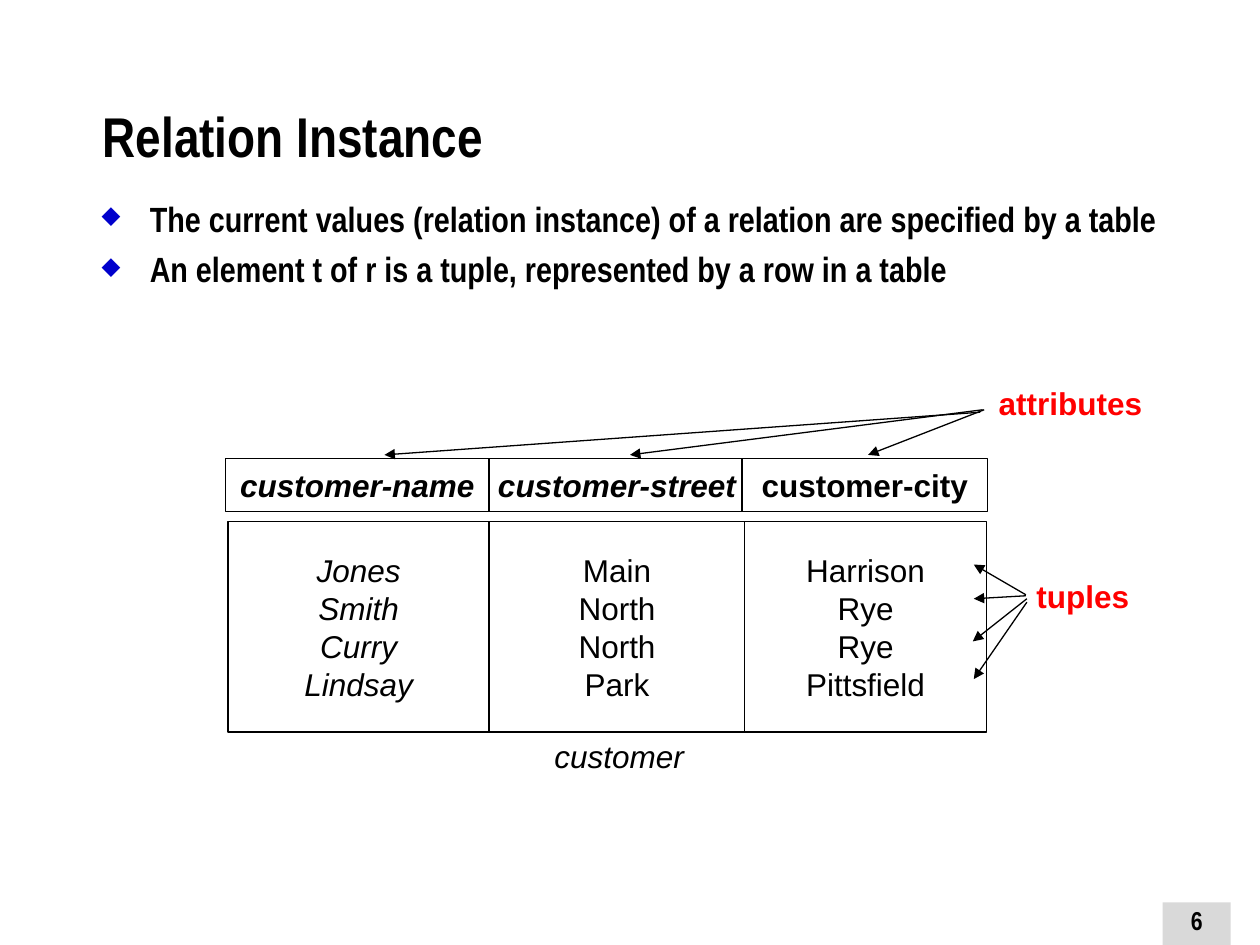
"""Build the "Relation Instance" slide with its customer relation."""
from dataclasses import dataclass, field
from typing import NamedTuple, Optional

from lxml.etree import SubElement
from pptx import Presentation
from pptx.dml.color import RGBColor
from pptx.enum.shapes import MSO_CONNECTOR, MSO_SHAPE
from pptx.enum.text import MSO_ANCHOR, MSO_AUTO_SIZE, PP_ALIGN
from pptx.oxml.ns import qn
from pptx.util import Cm, Pt

BLACK = RGBColor(0x00, 0x00, 0x00)
WHITE = RGBColor(0xFF, 0xFF, 0xFF)
RED = RGBColor(0xFF, 0x00, 0x00)
BLUE = RGBColor(0x00, 0x00, 0xCC)
GREY = RGBColor(0xD9, 0xD9, 0xD9)

CELL = dict(name="Arial", size=Pt(18))
NARROW = dict(name="Arial Narrow", bold=True)
LABEL = dict(CELL, bold=True)
HEADER_TOP, HEADER_HEIGHT = 9.25, 1.07
ROWS_TOP, ROWS_HEIGHT = 10.52, 4.24
ATTRIBUTE_TIP_Y = 9.17


class Box(NamedTuple):
    left: float
    top: float
    width: float
    height: float


class Span(NamedTuple):
    left: float
    width: float


class Arrow(NamedTuple):
    x1: float
    y1: float
    x2: float
    y2: float


@dataclass
class Text:
    box: Box
    lines: list[str]
    font: dict
    color: RGBColor = BLACK
    frame: dict = field(default_factory=dict)
    para: dict = field(default_factory=dict)
    gap: float = 0
    bullet: Optional[str] = None


@dataclass
class Column:
    name: str
    values: list[str]
    header: Span
    rows: Span
    header_italic: bool
    rows_italic: bool


COLUMNS = [
    Column("customer-name", ["Jones", "Smith", "Curry", "Lindsay"],
           Span(4.55, 5.31), Span(4.6, 5.26), True, True),
    Column("customer-street", ["Main", "North", "North", "Park"],
           Span(9.86, 5.16), Span(9.86, 5.16), True, False),
    Column("customer-city", ["Harrison", "Rye", "Rye", "Pittsfield"],
           Span(14.96, 4.95), Span(15.01, 4.88), False, False),
]
CENTRED = dict(alignment=PP_ALIGN.CENTER)
MIDDLE = dict(vertical_anchor=MSO_ANCHOR.MIDDLE, word_wrap=False)
GROWING = dict(word_wrap=False, auto_size=MSO_AUTO_SIZE.SHAPE_TO_FIT_TEXT)

TEXTS = [
    Text(Box(1.82, 1.02, 23.09, 2.51), ["Relation Instance"],
         dict(NARROW, size=Pt(32)),
         frame=dict(vertical_anchor=MSO_ANCHOR.BOTTOM, word_wrap=True)),
    Text(Box(1.8, 3.85, 22.38, 12.27), [
        "The current values (relation instance) of a relation are specified by a table",
        "An element t of r is a tuple, represented by a row in a table",
    ], dict(NARROW, size=Pt(20)), frame=dict(word_wrap=True), gap=5, bullet="◆"),
]
LABELS = [
    Text(Box(10.92, 14.73, 3.12, 1.02), ["customer"], dict(CELL, italic=True),
         frame=dict(GROWING, vertical_anchor=MSO_ANCHOR.MIDDLE), para=CENTRED),
    Text(Box(19.86, 7.62, 3.44, 1.02), ["attributes"], LABEL, RED,
         frame=GROWING, para=CENTRED),
    Text(Box(20.58, 11.51, 2.5, 1.02), ["tuples"], LABEL, RED,
         frame=GROWING, para=CENTRED),
]
SLIDE_NUMBER = Text(Box(23.44, 18.19, 1.37, 0.86), ["6"],
                    dict(NARROW, size=Pt(14.8)),
                    frame=dict(word_wrap=True, vertical_anchor=MSO_ANCHOR.TOP),
                    para=dict(CENTRED, line_spacing=0.9))
ARROWS = [
    Arrow(19.76, 8.31, 7.75, ATTRIBUTE_TIP_Y),
    Arrow(19.81, 8.26, 12.7, ATTRIBUTE_TIP_Y),
    Arrow(19.84, 8.26, 17.5, ATTRIBUTE_TIP_Y),
    Arrow(20.68, 11.99, 19.63, 11.38),
    Arrow(20.68, 12.01, 19.63, 12.07),
    Arrow(20.7, 12.07, 19.61, 12.93),
    Arrow(20.7, 12.14, 19.63, 13.69),
]


def apply(target, values: dict) -> None:
    """Set every named attribute on the target."""
    for key, value in values.items():
        setattr(target, key, value)


def add_bullet(p, char: str) -> None:
    """Give a paragraph a hanging coloured bullet."""
    pPr = p._p.get_or_add_pPr()
    pPr.set("marL", str(Cm(0.97)))
    pPr.set("indent", str(-Cm(0.97)))
    color = SubElement(pPr, qn("a:buClr"))
    SubElement(color, qn("a:srgbClr"), val=str(BLUE))
    SubElement(pPr, qn("a:buSzPct"), val="70000")
    SubElement(pPr, qn("a:buChar"), char=char)


def fill_text(tf, text: Text) -> None:
    """Write the lines of a text into a text frame."""
    apply(tf, text.frame)
    for i, line in enumerate(text.lines):
        p = tf.add_paragraph() if i else tf.paragraphs[0]
        if text.bullet:
            add_bullet(p, text.bullet)
        if i and text.gap:
            p.space_before = Pt(text.gap)
        apply(p, text.para)
        r = p.add_run()
        r.text = line
        apply(r.font, text.font)
        r.font.color.rgb = text.color


def add_text(s, text: Text) -> None:
    """Add a text box."""
    sp = s.shapes.add_textbox(*map(Cm, text.box))
    fill_text(sp.text_frame, text)


def add_rect(s, text: Text, fill: RGBColor, outlined: bool) -> None:
    """Add a filled rectangle holding text."""
    sp = s.shapes.add_shape(MSO_SHAPE.RECTANGLE, *map(Cm, text.box))
    sp.shadow.inherit = False
    sp.fill.solid()
    sp.fill.fore_color.rgb = fill
    if outlined:
        sp.line.color.rgb = BLACK
        sp.line.width = Pt(0.75)
    else:
        sp.line.fill.background()
    fill_text(sp.text_frame, text)


def add_column(s, column: Column) -> None:
    """Add the value cell and the header cell of a column."""
    rows = Box(column.rows.left, ROWS_TOP, column.rows.width, ROWS_HEIGHT)
    header = Box(column.header.left, HEADER_TOP, column.header.width, HEADER_HEIGHT)
    for box, lines, font in (
        (rows, column.values, dict(CELL, italic=column.rows_italic)),
        (header, [column.name], dict(LABEL, italic=column.header_italic)),
    ):
        add_rect(s, Text(box, lines, font, frame=MIDDLE, para=CENTRED), WHITE, True)


def add_arrow(s, arrow: Arrow) -> None:
    """Add a thin black arrow."""
    cxn = s.shapes.add_connector(MSO_CONNECTOR.STRAIGHT, *map(Cm, arrow))
    cxn.line.color.rgb = BLACK
    cxn.line.width = Pt(0.75)
    SubElement(cxn.line._get_or_add_ln(), qn("a:tailEnd"), type="triangle")
    SubElement(cxn._element.spPr, qn("a:effectLst"))


def main() -> None:
    """Draw the slide and save it."""
    prs = Presentation()
    prs.slide_width, prs.slide_height = Cm(25.4), Cm(19.05)
    s = prs.slides.add_slide(prs.slide_layouts[6])
    for text in TEXTS:
        add_text(s, text)
    for column in COLUMNS:
        add_column(s, column)
    for label in LABELS:
        add_text(s, label)
    for arrow in ARROWS:
        add_arrow(s, arrow)
    add_rect(s, SLIDE_NUMBER, GREY, False)
    prs.save("out.pptx")


if __name__ == "__main__":
    main()
